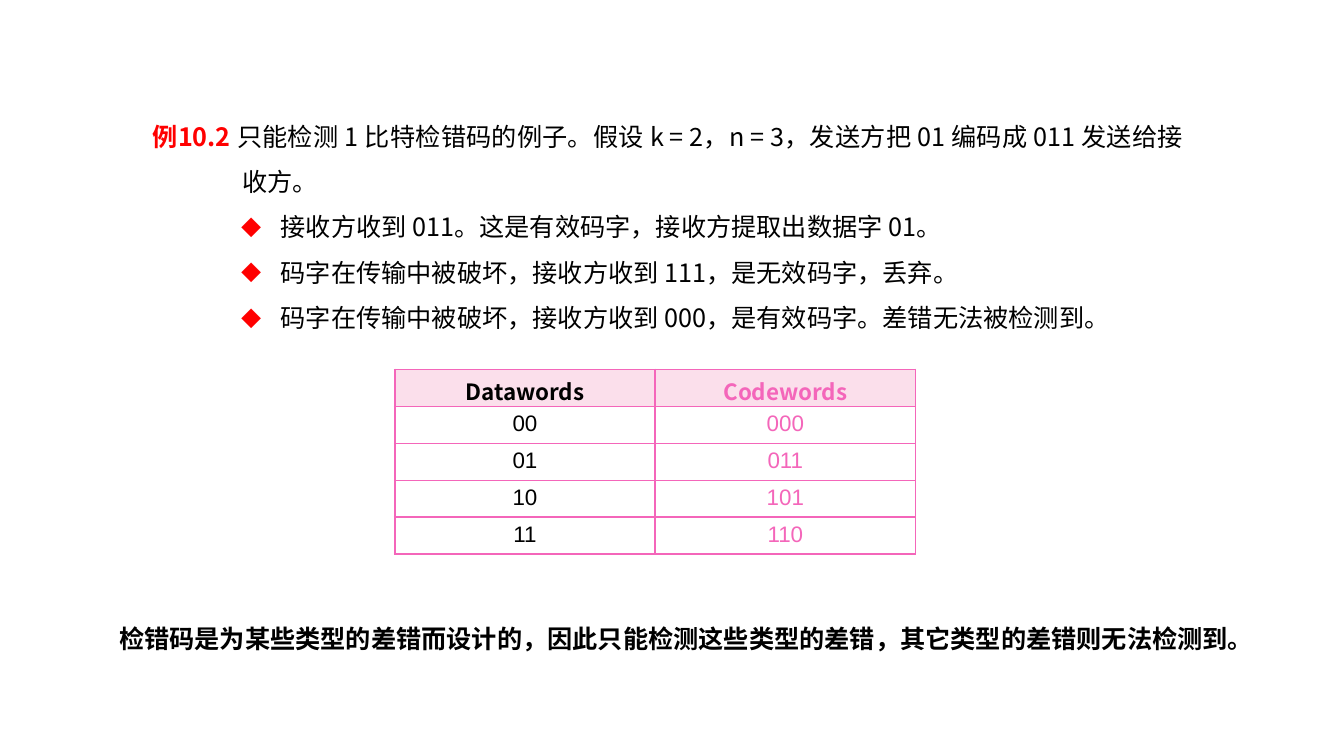
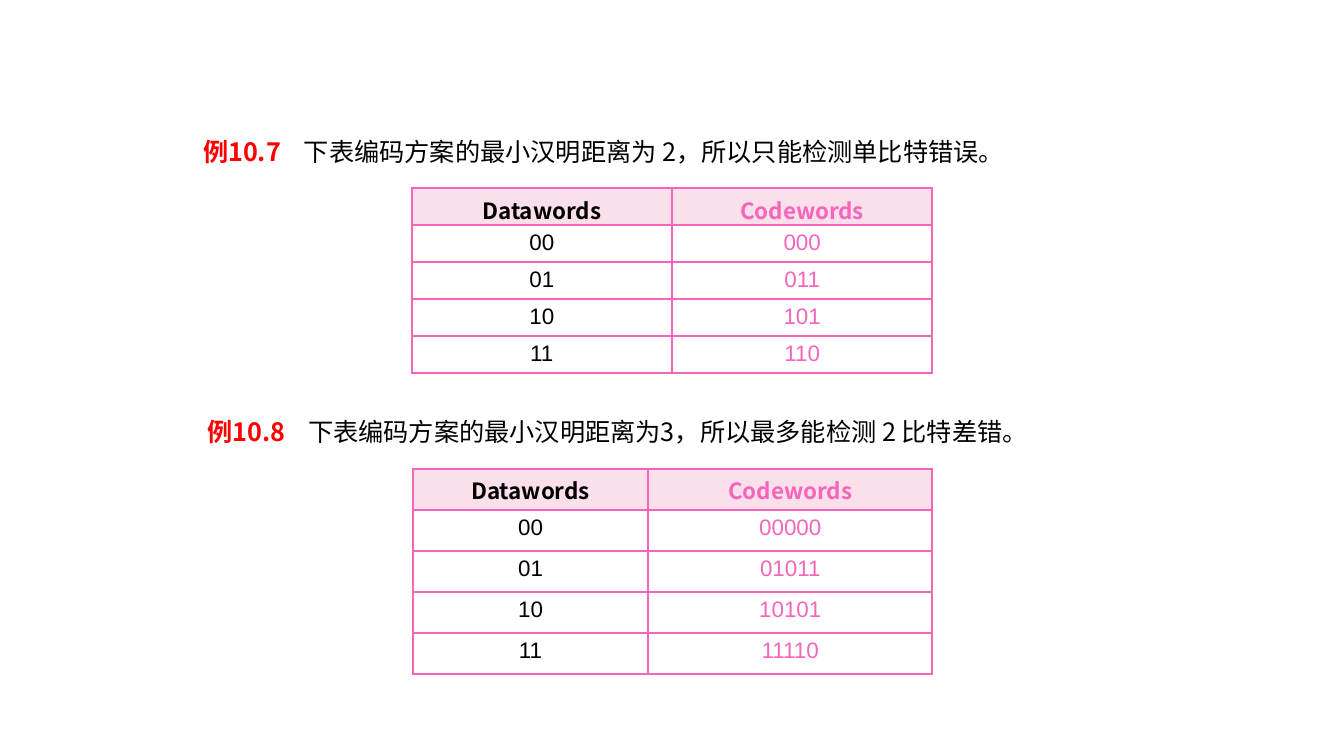
from lxml.etree import SubElement as Sub
from pptx import Presentation
from pptx.dml.color import RGBColor as Rgb
from pptx.enum.shapes import MSO_SHAPE as Kind
from pptx.enum.text import MSO_ANCHOR as Anchor, MSO_AUTO_SIZE as Auto, PP_ALIGN as Align
from pptx.oxml.ns import qn
from pptx.util import Pt

LOOK = {
    "ink": "000000", "red": "FF0000", "pink": "F466BA", "tint": "FBDFEB", "white": "FFFFFF",
    "text": 18, "cell": 16, "line": 1.5, "lead": 1.5,
    "cjk": "Noto Sans CJK SC", "num": "Arial",
}
HEAD = ("Datawords", "Codewords")
SHORT = [("00", "000"), ("01", "011"), ("10", "101"), ("11", "110")]
LONG = [("00", "00000"), ("01", "01011"), ("10", "10101"), ("11", "11110")]
HANG, BULLET, TAB = (64, -64), (91.5, -28), 72

SLIDES = [
    {
        "texts": [
            {"at": (102, 72, 750, 167), "fill": "white", "paras": [
                {"tag": "例10.2 ", "ind": HANG,
                 "body": "只能检测 1 比特检错码的例子。假设 k = 2，n = 3，发送方把 01 编码成 011 发送给接收方。"},
                {"ind": BULLET, "mark": "◆", "body": "接收方收到 011。这是有效码字，接收方提取出数据字 01。"},
                {"ind": BULLET, "mark": "◆", "body": "码字在传输中被破坏，接收方收到 111，是无效码字，丢弃。"},
                {"ind": BULLET, "mark": "◆", "body": "码字在传输中被破坏，接收方收到 000，是有效码字。差错无法被检测到。"},
            ]},
            {"at": (78, 431, 840, 36), "paras": [
                {"bold": True,
                 "body": "检错码是为某些类型的差错而设计的，因此只能检测这些类型的差错，其它类型的差错则无法检测到。"},
            ]},
        ],
        "tables": [{"at": (282, 264), "cols": (186, 186), "row": 26.4, "data": SHORT}],
    },
    {
        "texts": [
            {"at": (138, 83, 628, 36), "paras": [
                {"tag": "例10.7\t", "tab": TAB, "body": "下表编码方案的最小汉明距离为 2，所以只能检测单比特错误。"},
            ]},
            {"at": (141, 283, 628, 36), "paras": [
                {"tag": "例10.8\t", "tab": TAB, "body": "下表编码方案的最小汉明距离为3，所以最多能检测 2 比特差错。"},
            ]},
        ],
        "tables": [
            {"at": (295, 335), "cols": (168, 203), "row": 29.35, "data": LONG},
            {"at": (294, 134.5), "cols": (186, 186), "row": 26.4, "data": SHORT},
        ],
    },
]


def paint(fill, tone):
    fill.solid()
    fill.fore_color.rgb = Rgb.from_string(LOOK[tone])


def add_run(para, text, tone, size="text", face="cjk", bold=False):
    run = para.add_run()
    run.text = text
    for key, val in {"size": Pt(LOOK[size]), "bold": bold, "name": LOOK[face]}.items():
        setattr(run.font, key, val)
    run.font.color.rgb = Rgb.from_string(LOOK[tone])
    Sub(run.font._element, qn("a:ea"), typeface=LOOK["cjk"])


def add_para(para, item):
    props = para._p.get_or_add_pPr()
    if "ind" in item:
        for key, val in zip(("marL", "indent"), item["ind"]):
            props.set(key, str(Pt(val)))
    if "mark" in item:
        tone = Sub(props, qn("a:buClr"))
        Sub(tone, qn("a:srgbClr"), val=LOOK["red"])
        Sub(props, qn("a:buSzPct"), val="80000")
        Sub(props, qn("a:buFont"), typeface=LOOK["cjk"])
        Sub(props, qn("a:buChar"), char=item["mark"])
    if "tab" in item:
        tabs = Sub(props, qn("a:tabLst"))
        Sub(tabs, qn("a:tab"), pos=str(Pt(item["tab"])), algn="l")
    para.alignment = Align.JUSTIFY
    para.line_spacing = LOOK["lead"]
    if "tag" in item:
        add_run(para, item["tag"], "red", bold=True)
    add_run(para, item["body"], "ink", bold=item.get("bold", False))


def add_text(slide, item):
    spot = [Pt(val) for val in item["at"]]
    if "fill" in item:
        box = slide.shapes.add_shape(Kind.RECTANGLE, *spot)
        box.shadow.inherit = False
        box.line.fill.background()
        paint(box.fill, item["fill"])
    else:
        box = slide.shapes.add_textbox(*spot)
    frame = box.text_frame
    form = {"word_wrap": True, "auto_size": Auto.SHAPE_TO_FIT_TEXT, "vertical_anchor": Anchor.TOP}
    for key, val in form.items():
        setattr(frame, key, val)
    for num, para in enumerate(item["paras"]):
        add_para(frame.add_paragraph() if num else frame.paragraphs[0], para)


def add_edges(cell):
    props = cell._tc.get_or_add_tcPr()
    for side in ("lnL", "lnR", "lnT", "lnB"):
        line = Sub(props, qn("a:" + side), w=str(Pt(LOOK["line"])))
        fill = Sub(line, qn("a:solidFill"))
        Sub(fill, qn("a:srgbClr"), val=LOOK["pink"])


def add_grid(slide, item):
    rows = [HEAD] + item["data"]
    cols, high = item["cols"], item["row"]
    spot = [Pt(val) for val in (*item["at"], sum(cols), high * len(rows))]
    grid = slide.shapes.add_table(len(rows), len(cols), *spot).table
    grid.first_row = grid.horz_banding = False
    for col, wide in zip(grid.columns, cols):
        col.width = Pt(wide)
    for r, row in enumerate(rows):
        grid.rows[r].height = Pt(high)
        for c, word in enumerate(row):
            cell = grid.cell(r, c)
            form = {"margin_top": Pt(3.6), "margin_bottom": 0, "vertical_anchor": Anchor.TOP}
            for key, val in form.items():
                setattr(cell, key, val)
            add_edges(cell)
            paint(cell.fill, "white" if r else "tint")
            para = cell.text_frame.paragraphs[0]
            para.alignment = Align.CENTER
            add_run(para, word, "pink" if c else "ink", "cell", "num" if r else "cjk", not r)


def main():
    deck = Presentation()
    deck.slide_width, deck.slide_height = Pt(960), Pt(540)
    for page in SLIDES:
        slide = deck.slides.add_slide(deck.slide_layouts[6])
        for item in page["texts"]:
            add_text(slide, item)
        for item in page["tables"]:
            add_grid(slide, item)
    deck.save("out.pptx")


if __name__ == "__main__":
    main()
